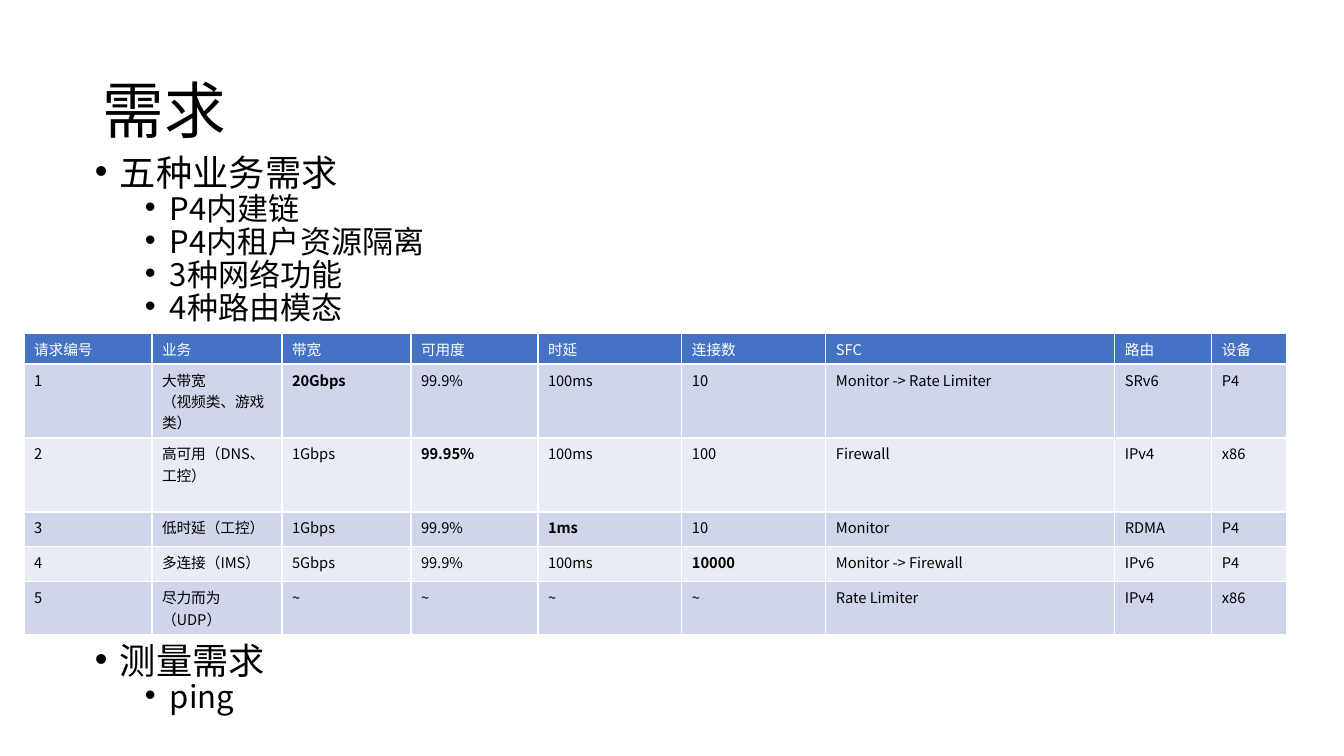
from lxml import etree
from pptx import Presentation
from pptx.dml.color import RGBColor
from pptx.enum.text import MSO_ANCHOR
from pptx.oxml.ns import qn
from pptx.util import Emu, Pt

MIDDLE, TOP = MSO_ANCHOR.MIDDLE, MSO_ANCHOR.TOP
SCALE = 914400 / 100.8
FONT = "Noto Sans CJK SC"
BLACK, WHITE = "000000", "FFFFFF"
HEAD, BANDS = "4472C4", ("CFD5EA", "E9EBF5")

COLS = [128, 130, 129, 127, 144, 144, 289, 97, 75]
ROWS = [31, 74, 74, 35, 35, 53]
CELLS = [
    ["请求编号", "业务", "带宽", "可用度", "时延", "连接数", "SFC", "路由", "设备"],
    ["1", "大带宽\n（视频类、游戏类）", "20Gbps", "99.9%", "100ms", "10",
     "Monitor -> Rate Limiter", "SRv6", "P4"],
    ["2", "高可用（DNS、工控）", "1Gbps", "99.95%", "100ms", "100", "Firewall", "IPv4", "x86"],
    ["3", "低时延（工控）", "1Gbps", "99.9%", "1ms", "10", "Monitor", "RDMA", "P4"],
    ["4", "多连接（IMS）", "5Gbps", "99.9%", "100ms", "10000", "Monitor -> Firewall",
     "IPv6", "P4"],
    ["5", "尽力而为（UDP）", "~", "~", "~", "~", "Rate Limiter", "IPv4", "x86"],
]
KEYS = {"20Gbps", "99.95%", "1ms", "10000"}


def px(n):
    return Emu(round(n * SCALE))


def color(code):
    return RGBColor.from_string(code)


def write(para, text, size=10.5, ink=BLACK, bold=False, line=None, before=None):
    run = para.add_run()
    run.text = text
    font = run.font
    font.size, font.name, font.bold = Pt(size), FONT, bold
    font.color.rgb = color(ink)
    east = etree.SubElement(run._r.get_or_add_rPr(), qn("a:ea"))
    east.set("typeface", FONT)
    if line:
        para.line_spacing = line
    if before is not None:
        para.space_before = Pt(before)


def bullet(para, left, hang):
    props = para._p.get_or_add_pPr()
    props.set("marL", str(px(left)))
    props.set("indent", str(-px(hang)))
    face = etree.SubElement(props, qn("a:buFont"))
    face.set("typeface", "Arial")
    etree.SubElement(props, qn("a:buChar")).set("char", "•")


def border(cell):
    props = cell._tc.get_or_add_tcPr()
    for i, side in enumerate("LRTB"):
        edge = etree.Element(qn("a:ln" + side), w=str(Pt(1)))
        fill = etree.SubElement(edge, qn("a:solidFill"))
        etree.SubElement(fill, qn("a:srgbClr")).set("val", WHITE)
        props.insert(i, edge)


class Deck:
    def __init__(self):
        self.prs = Presentation()
        self.prs.slide_width, self.prs.slide_height = px(1344), px(756)
        self.slide = self.prs.slides.add_slide(self.prs.slide_layouts[6])

    def box(self, x, y, w, h, anchor=TOP):
        shape = self.slide.shapes.add_textbox(px(x), px(y), px(w), px(h))
        frame = shape.text_frame
        frame.word_wrap, frame.vertical_anchor = True, anchor
        return frame

    def title(self, text, *place):
        write(self.box(*place, MIDDLE).paragraphs[0], text, size=44, line=0.9)

    def points(self, head, subs, *place):
        frame = self.box(*place)
        para = frame.paragraphs[0]
        write(para, head, size=25.9, line=0.7, before=0)
        bullet(para, 25, 25)
        for sub in subs:
            para = frame.add_paragraph()
            para.level = 1
            write(para, sub, size=22.2, line=0.7, before=5)
            bullet(para, 75, 25)

    def table(self, x, y):
        grid = self.slide.shapes.add_table(
            len(ROWS), len(COLS), px(x), px(y), px(sum(COLS)), px(sum(ROWS))).table
        for col, width in zip(grid.columns, COLS):
            col.width = px(width)
        for r, (row, height) in enumerate(zip(CELLS, ROWS)):
            grid.rows[r].height = px(height)
            for c, text in enumerate(row):
                self.cell(grid.cell(r, c), text, r)

    def cell(self, cell, text, r):
        cell.fill.solid()
        cell.fill.fore_color.rgb = color(BANDS[(r - 1) % 2] if r else HEAD)
        border(cell)
        frame = cell.text_frame
        for i, part in enumerate(text.split("\n")):
            para = frame.add_paragraph() if i else frame.paragraphs[0]
            write(para, part, ink=BLACK if r else WHITE, bold=text in KEYS)


def main():
    deck = Deck()
    # Title
    deck.title("需求", 93, 41, 1159, 146)
    # Service needs
    deck.points("五种业务需求", ["P4内建链", "P4内租户资源隔离", "3种网络功能", "4种路由模态"],
                85, 157, 1159, 175)
    # Request table
    deck.table(24, 333)
    # Measurement needs
    deck.points("测量需求", ["ping"], 85, 645, 1159, 100)
    deck.prs.save("out.pptx")


if __name__ == "__main__":
    main()
